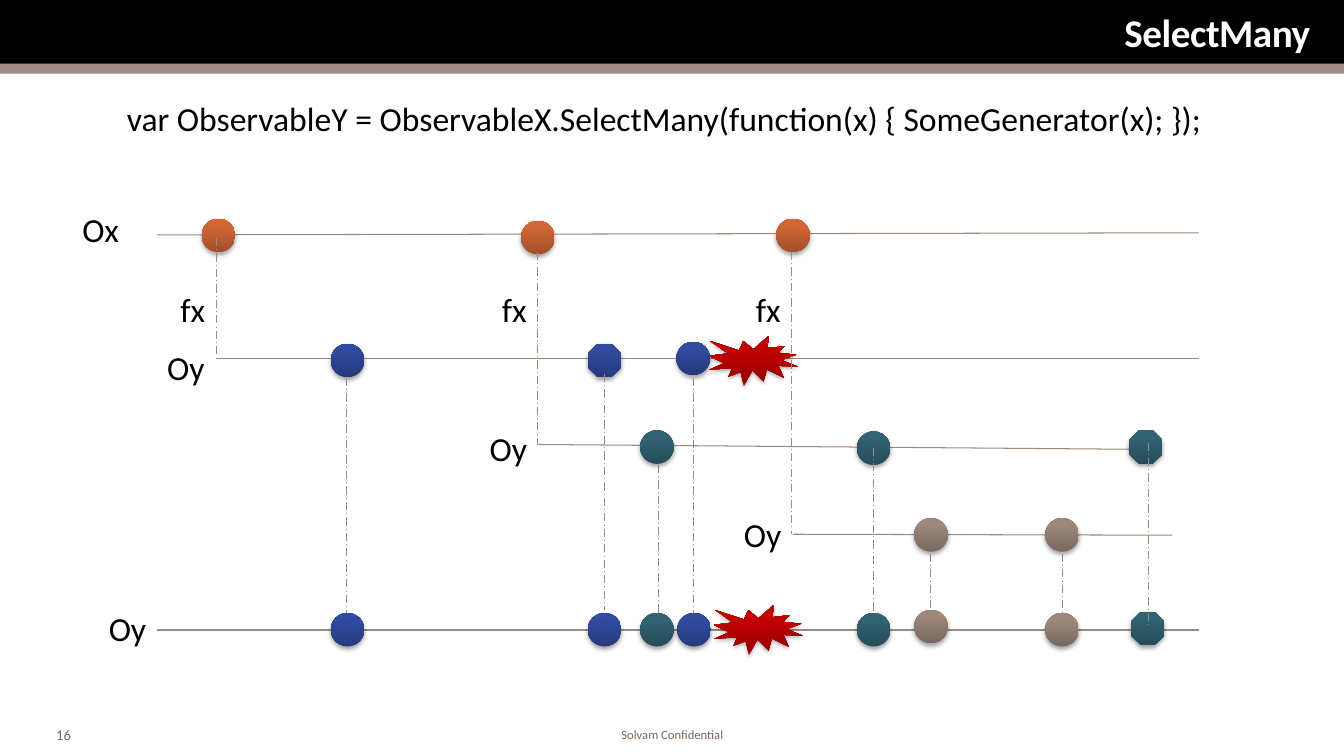
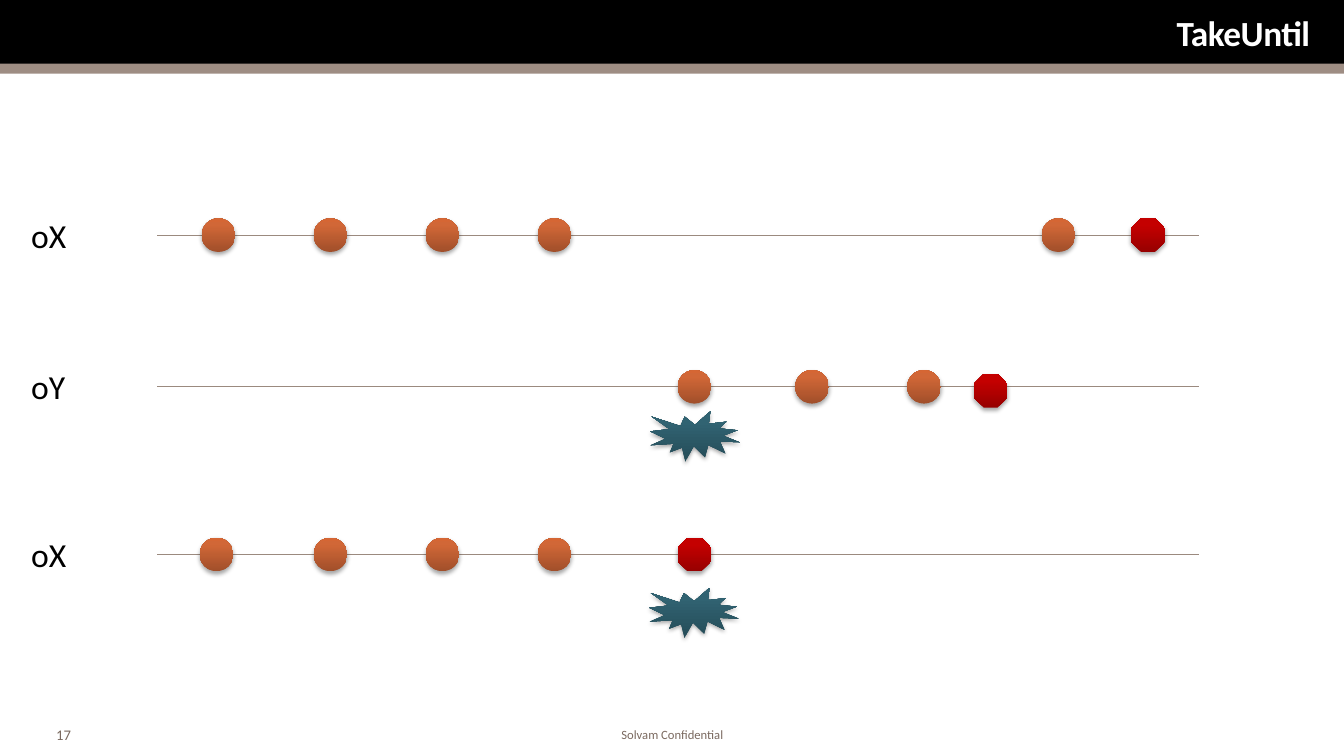
from dataclasses import dataclass

from pptx import Presentation
from pptx import util as u
from pptx.dml import color
from pptx.enum import dml, shapes, text
from pptx.oxml import parse_xml
from pptx.oxml import ns

COLORS = {
    "black": "000000",
    "white": "FFFFFF",
    "band": "9E8D83",
    "line": "9B8A7F",
    "footer": "7A695F",
}
GRADIENTS = {
    "orange": ("A14F2A", "D16737", "D56634"),
    "blue": ("253A7B", "304B9F", "2E4AA2"),
    "teal": ("254C58", "316372", "306474"),
    "stone": ("79685F", "9D887B", "9E887B"),
    "red": ("970000", "C40000", "C50000"),
}
STOPS = (0, 80, 100)
FONT = "Calibri"
PAGE_WIDTH, PAGE_HEIGHT = 960, 540
LINE_START, LINE_END = 112.3, 856.1

CIRCLE = shapes.MSO_SHAPE.OVAL
OCTAGON = shapes.MSO_SHAPE.OCTAGON
BURST = shapes.MSO_SHAPE.EXPLOSION1
SIZES = {CIRCLE: (24, 24), OCTAGON: (24, 24), BURST: (64, 36)}


@dataclass(frozen=True)
class Marker:
    x: float
    y: float
    tint: str
    kind: shapes.MSO_SHAPE = CIRCLE


@dataclass(frozen=True)
class Line:
    x1: float
    y1: float
    x2: float
    y2: float
    dashed: bool = False


@dataclass(frozen=True)
class Label:
    words: str
    left: float
    top: float
    width: float = 40
    wrap: bool = False


@dataclass(frozen=True)
class Diagram:
    title: str
    title_size: float
    number: int
    back_lines: list[Line]
    markers: list[Marker]
    front_lines: list[Line]
    labels: list[Label]


def circles(tint: str, y: float, *centres: float) -> list[Marker]:
    return [Marker(x, y, tint) for x in centres]


def drop(x: float, top: float, bottom: float) -> Line:
    return Line(x, top, x, bottom, dashed=True)


def add_text(page, words: str, left: float, top: float, width: float, height: float,
             size: float, tint: str, wrap: bool = True):
    box = page.shapes.add_textbox(u.Pt(left), u.Pt(top), u.Pt(width), u.Pt(height))
    frame = box.text_frame
    frame.word_wrap = wrap
    frame.auto_size = text.MSO_AUTO_SIZE.SHAPE_TO_FIT_TEXT
    frame.text = words
    font = frame.paragraphs[0].runs[0].font
    font.name = FONT
    font.size = u.Pt(size)
    font.color.rgb = color.RGBColor.from_string(COLORS[tint])
    return box


def add_band(page, top: float, height: float, tint: str) -> None:
    band = page.shapes.add_shape(
        shapes.MSO_SHAPE.RECTANGLE, 0, u.Pt(top), u.Pt(PAGE_WIDTH), u.Pt(height))
    band.shadow.inherit = False
    band.fill.solid()
    band.fill.fore_color.rgb = color.RGBColor.from_string(COLORS[tint])
    band.line.fill.background()


def add_title(page, words: str, size: float) -> None:
    box = add_text(page, words, 29.5, 5, 909.4, 36, size, "white")
    frame = box.text_frame
    frame.auto_size = text.MSO_AUTO_SIZE.NONE
    frame.vertical_anchor = text.MSO_ANCHOR.MIDDLE
    frame.margin_left = frame.margin_right = u.Pt(3)
    frame.margin_top = frame.margin_bottom = u.Pt(3)
    para = frame.paragraphs[0]
    para.alignment = text.PP_ALIGN.RIGHT
    span = para.runs[0]
    span.font.bold = True
    span.font._element.set("spc", "-30")


def add_frame(page, diagram: Diagram) -> None:
    add_band(page, 0, 46.8, "black")
    add_band(page, 45.4, 7.2, "band")
    add_title(page, diagram.title, diagram.title_size)
    add_text(page, str(diagram.number), 33.1, 514.8, 36, 19.4, 10.5, "footer")
    footer = add_text(page, "Solvam Confidential", 293, 515.5, 374.4, 17.3, 9, "footer")
    footer.text_frame.paragraphs[0].alignment = text.PP_ALIGN.CENTER


def add_line(page, line: Line) -> None:
    connector = page.shapes.add_connector(
        shapes.MSO_CONNECTOR.STRAIGHT,
        u.Pt(line.x1), u.Pt(line.y1), u.Pt(line.x2), u.Pt(line.y2))
    connector.line.color.rgb = color.RGBColor.from_string(COLORS["line"])
    connector.line.width = u.Pt(0.75)
    if line.dashed:
        connector.line.dash_style = dml.MSO_LINE.LONG_DASH_DOT
    connector._element.spPr.append(parse_xml(f"<a:effectLst {ns.nsdecls('a')}/>"))


def add_marker(page, marker: Marker) -> None:
    width, height = SIZES[marker.kind]
    shape = page.shapes.add_shape(
        marker.kind, u.Pt(marker.x - width / 2), u.Pt(marker.y - height / 2),
        u.Pt(width), u.Pt(height))
    shape.line.fill.background()
    shape.shadow.inherit = False
    properties = shape._element.spPr
    stops = "".join(
        f'<a:gs pos="{stop * 1000}"><a:srgbClr val="{tint}"/></a:gs>'
        for stop, tint in zip(STOPS, GRADIENTS[marker.tint]))
    properties.insert(2, parse_xml(
        f'<a:gradFill {ns.nsdecls("a")} rotWithShape="1"><a:gsLst>{stops}</a:gsLst>'
        '<a:lin ang="16200000" scaled="0"/></a:gradFill>'))
    properties.find(ns.qn("a:effectLst")).append(parse_xml(
        f'<a:outerShdw {ns.nsdecls("a")} blurRad="{u.Pt(3.1)}" dist="{u.Pt(1.8)}" '
        f'dir="5400000" rotWithShape="0"><a:srgbClr val="{COLORS["black"]}">'
        '<a:alpha val="35000"/></a:srgbClr></a:outerShdw>'))


def draw_diagram(deck, diagram: Diagram) -> None:
    page = deck.slides.add_slide(deck.slide_layouts[6])
    add_frame(page, diagram)
    for line in diagram.back_lines:
        add_line(page, line)
    for marker in diagram.markers:
        add_marker(page, marker)
    for line in diagram.front_lines:
        add_line(page, line)
    for label in diagram.labels:
        add_text(page, label.words, label.left, label.top, label.width, 36,
                 24, "black", label.wrap)


SELECT_MANY = Diagram(
    title="SelectMany",
    title_size=28,
    number=16,
    back_lines=[
        drop(758.9, 384.5, 449.3),
        drop(664.6, 384.5, 449.3),
        drop(470.2, 321.1, 452.2),
        Line(566.6, 381.6, 837.4, 382.3),
        Line(383.8, 317.5, 830.2, 321.1),
        Line(LINE_START, 167.8, LINE_END, 166.3),
        Line(154.1, 256.3, LINE_END, 256.3),
        Line(LINE_START, 450, LINE_END, 450),
    ],
    markers=[
        *circles("orange", 168.2, 156, 566.4),
        Marker(384.2, 169.7, "orange"),
        Marker(248.2, 257.5, "blue"),
        Marker(495.1, 256.1, "blue"),
        Marker(469.2, 319.4, "teal"),
        Marker(624, 320.2, "teal"),
        *circles("stone", 382.1, 665, 758.6),
        *circles("teal", 449.8, 469.2, 624),
        *circles("blue", 449.8, 248.2, 431.8, 495.8),
        Marker(665, 447.6, "stone"),
        Marker(758.6, 449.8, "stone"),
        Marker(431.8, 257.5, "blue", OCTAGON),
        Marker(819.8, 449, "teal", OCTAGON),
        Marker(818.4, 319.4, "teal", OCTAGON),
        Marker(538.2, 257.8, "red", BURST),
        Marker(541.8, 450, "red", BURST),
    ],
    front_lines=[
        drop(154.8, 169.9, 254.2),
        drop(247.7, 270, 437.8),
        drop(432, 267.1, 435.6),
        drop(495.4, 270, 437.8),
        drop(383.8, 180, 317.5),
        drop(565.2, 180, 381.6),
        drop(624.2, 319.7, 437.8),
        drop(820.1, 316.1, 446.4),
    ],
    labels=[
        Label("Ox", 51.8, 145.4, 41),
        *[Label("fx", left, 203, 32.4) for left in (121.7, 351.4, 532.8)],
        *[Label("Oy", left, top, 41.8) for left, top in
          ((112.3, 244.1), (342.7, 302.4), (524.2, 363.6), (70.6, 430.6))],
        Label("var ObservableY = ObservableX.SelectMany(function(x) { SomeGenerator(x); });",
              83.5, 66.2, 797.8, wrap=True),
    ],
)

TAKE_UNTIL = Diagram(
    title="TakeUntil",
    title_size=25.2,
    number=17,
    back_lines=[Line(LINE_START, y, LINE_END, y) for y in (168, 276, 396)],
    markers=[
        *circles("orange", 168, 156, 236, 316, 396, 756),
        *circles("orange", 276.3, 496, 580, 660),
        *circles("orange", 396, 154.6, 236, 316, 396),
        Marker(820, 168, "red", OCTAGON),
        Marker(707.6, 279.1, "red", OCTAGON),
        Marker(496, 396, "red", OCTAGON),
        Marker(496.4, 311.8, "teal", BURST),
        Marker(495.8, 437.8, "teal", BURST),
    ],
    front_lines=[],
    labels=[Label(words, 15.1, top) for words, top in
            (("oX", 149.8), ("oY", 257.8), ("oX", 378))],
)


def main() -> None:
    deck = Presentation()
    deck.slide_width = u.Pt(PAGE_WIDTH)
    deck.slide_height = u.Pt(PAGE_HEIGHT)
    for diagram in (SELECT_MANY, TAKE_UNTIL):
        draw_diagram(deck, diagram)
    deck.save("out.pptx")


if __name__ == "__main__":
    main()
